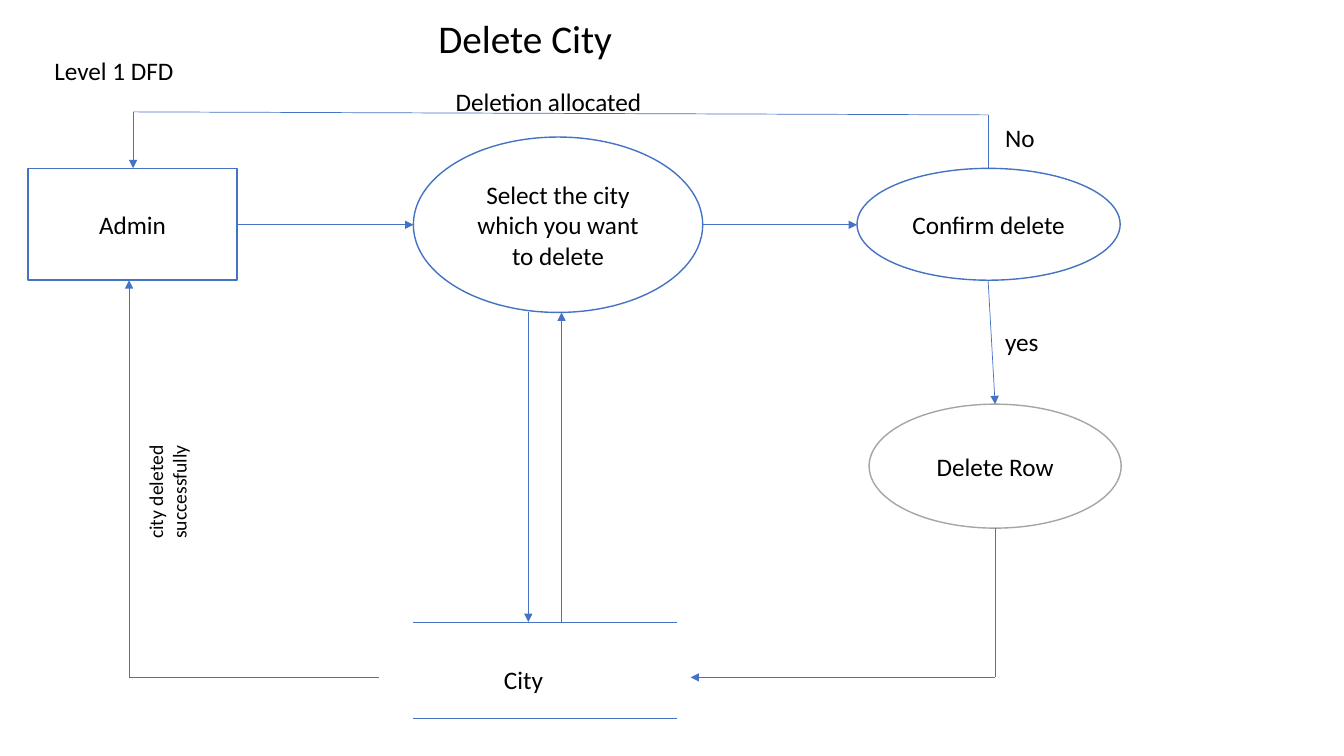
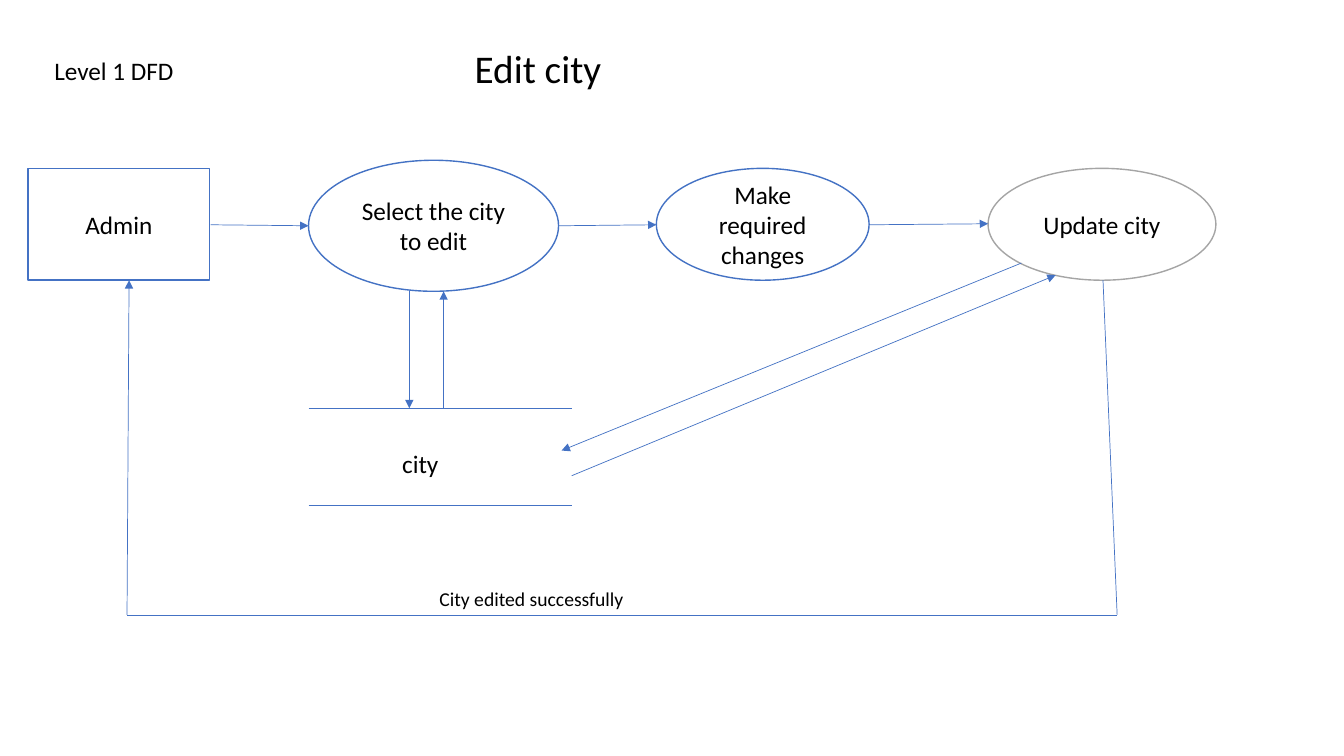
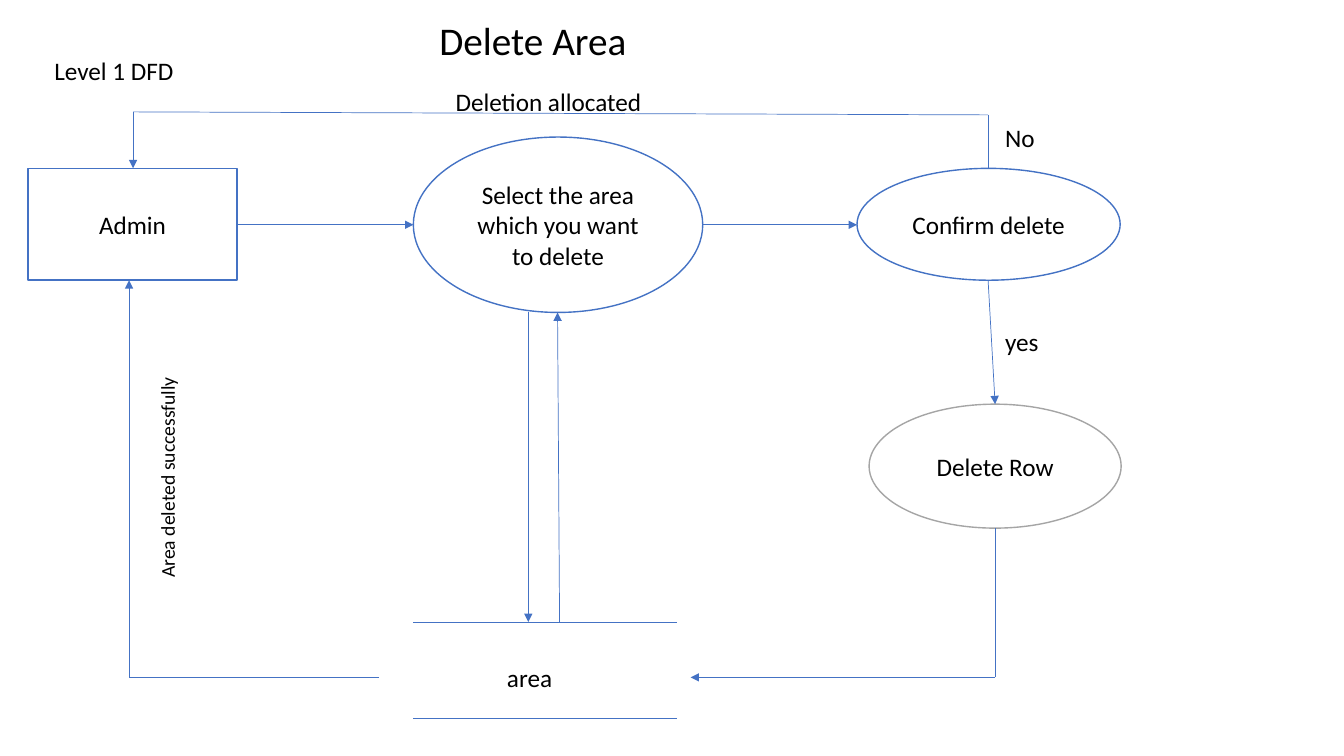
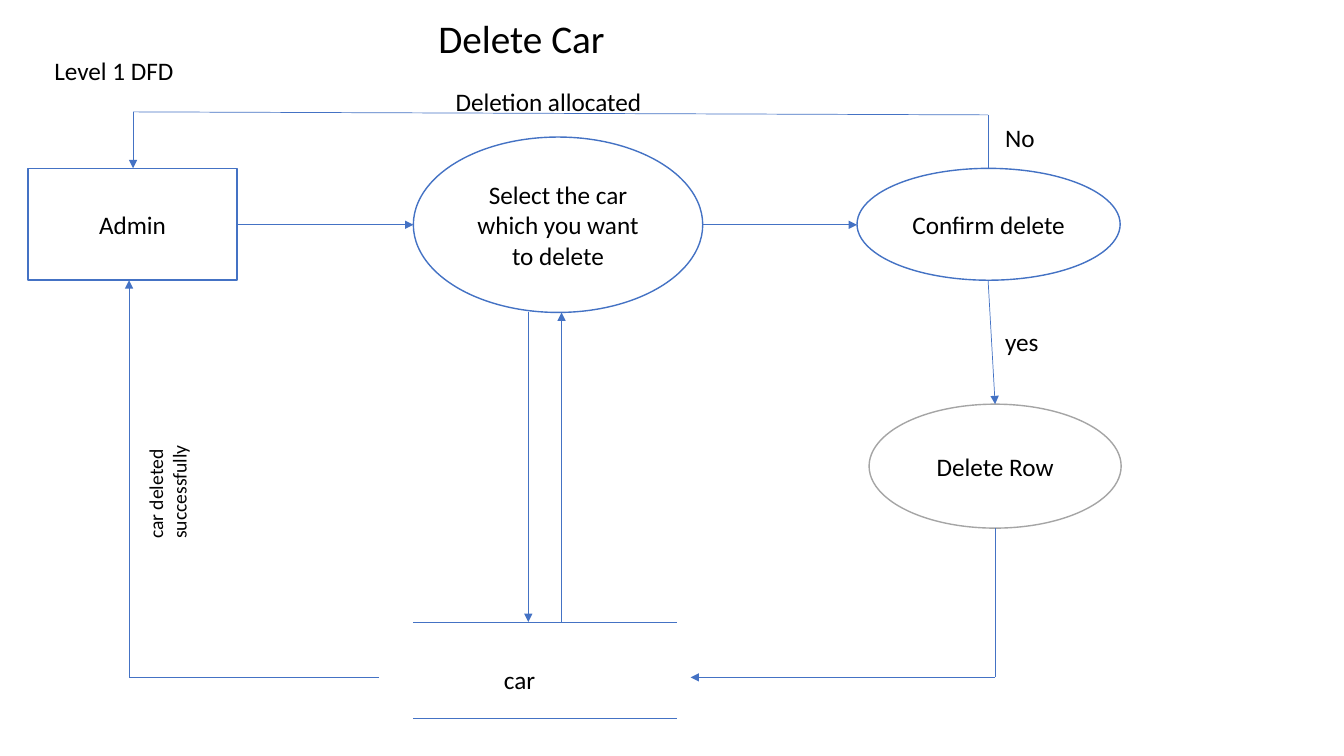
"""Build four level 1 data flow diagrams: deleting and editing cities, areas and cars."""
from dataclasses import dataclass

from lxml import etree
from pptx import Presentation
from pptx.dml.color import RGBColor
from pptx.enum.shapes import MSO_CONNECTOR, MSO_SHAPE
from pptx.enum.text import MSO_ANCHOR, MSO_AUTO_SIZE, PP_ALIGN
from pptx.oxml.ns import qn
from pptx.util import Inches, Pt

RECTANGLE = MSO_SHAPE.RECTANGLE
ELLIPSE = MSO_SHAPE.OVAL
STRAIGHT = MSO_CONNECTOR.STRAIGHT
CENTER = PP_ALIGN.CENTER
MIDDLE = MSO_ANCHOR.MIDDLE
GROW = MSO_AUTO_SIZE.SHAPE_TO_FIT_TEXT


@dataclass(frozen=True)
class Theme:
    font: str = "Calibri"
    ink: RGBColor = RGBColor(0x00, 0x00, 0x00)
    paper: RGBColor = RGBColor(0xFF, 0xFF, 0xFF)
    blue: RGBColor = RGBColor(0x44, 0x72, 0xC4)
    gray: RGBColor = RGBColor(0xA5, 0xA5, 0xA5)
    title: int = 28
    body: int = 18
    small: int = 14
    outline: float = 1
    flow: float = 0.5


THEME = Theme()
COLUMNS, ROWS = 13.33, 7.5
CELL = Inches(1)

presentation = Presentation()
presentation.slide_width = round(COLUMNS * CELL)
presentation.slide_height = round(ROWS * CELL)
blank_layout = presentation.slide_layouts[6]


def write(slide, text, box, kind=None, size=THEME.body, line=THEME.blue, rotation=0):
    """Write text in a grid box, inside an outlined shape when a kind is given."""
    place = [round(length * CELL) for length in box]
    if kind is None:
        shape = slide.shapes.add_textbox(*place)
        shape.text_frame.auto_size = GROW
    else:
        shape = slide.shapes.add_shape(kind, *place)
        shape.shadow.inherit = False
        shape.fill.solid()
        shape.fill.fore_color.rgb = THEME.paper
        shape.line.color.rgb = line
        shape.line.width = Pt(THEME.outline)
        shape.text_frame.vertical_anchor = MIDDLE
    shape.rotation = rotation
    shape.text_frame.word_wrap = True
    paragraph = shape.text_frame.paragraphs[0]
    if kind is not None:
        paragraph.alignment = CENTER
    run = paragraph.add_run()
    run.text = text
    run.font.name = THEME.font
    run.font.size = Pt(size)
    run.font.color.rgb = THEME.ink


def connect(slide, *points, arrow=True):
    """Join grid points with straight lines and put an arrowhead on the last one."""
    for start, end in zip(points, points[1:]):
        ends = [round(length * CELL) for length in (*start, *end)]
        connector = slide.shapes.add_connector(STRAIGHT, *ends)
        connector.line.color.rgb = THEME.blue
        connector.line.width = Pt(THEME.flow)
        properties = connector.element.spPr
        if arrow and end == points[-1]:
            outline = properties.find(qn("a:ln"))
            etree.SubElement(outline, qn("a:tailEnd"), type="triangle")
        etree.SubElement(properties, qn("a:effectLst"))


NODE_TOP, NODE_HEIGHT = 1.67, 1.11
NODE_MIDDLE, NODE_BOTTOM = 2.23, 2.78
ADMIN_LEFT, ADMIN_ENTRY = 0.28, 1.28
STORE_WIDTH, STORE_HEIGHT = 2.61, 0.96
LABEL_HEIGHT = 0.4

frames = [
    ("Delete City", (4.25, 0.09, 2.8, 0.57), 2.07),
    ("Edit city", (4.61, 0.39, 2.4, 0.57), 1.8),
    ("Delete Area", (4.26, 0.11, 3.14, 0.57), 2.07),
    ("Delete Car", (4.25, 0.09, 2.8, 0.57), 2.07),
]
slides = []
for title, title_box, admin_width in frames:
    slide = presentation.slides.add_slide(blank_layout)
    write(slide, "Level 1 DFD", (0.44, 0.5, 1.5, LABEL_HEIGHT))
    write(slide, title, title_box, size=THEME.title)
    write(slide, "Admin", (ADMIN_LEFT, NODE_TOP, admin_width, NODE_HEIGHT), RECTANGLE)
    slides.append(slide)
delete_city, edit_city, delete_area, delete_car = slides

SELECT_LEFT, SELECT_RIGHT, SELECT_BOTTOM = 4.1, 6.97, 3.1
CONFIRM_LEFT, CONFIRM_CENTER = 8.5, 9.8
ROW_TOP, ROW_BOTTOM, ROW_CENTER = 4.01, 5.24, 9.87
STORE_TOP, STORE_MIDDLE = 6.17, 6.72
RETURN_TOP, RETURN_CENTER = 1.11, 1.32

two_line_box = (0.69, 4.19, 1.94, 0.57)
one_line_box = (0.5, 4.5, 2.32, 0.34)
deletions = [
    (delete_city, "city", "City", (4.9, 6.54), "city deleted successfully", two_line_box, 5.57, 5.57),
    (delete_area, "area", "area", (4.93, 6.52), "Area deleted successfully", one_line_box, 5.55, 5.53),
    (delete_car, "car", "car", (4.9, 6.54), "car deleted successfully", two_line_box, 5.57, 5.57),
]
for slide, subject, store, store_corner, message, message_box, reply_start, reply_end in deletions:
    write(slide, f"Select the {subject} which you want to delete",
          (SELECT_LEFT, 1.36, SELECT_RIGHT - SELECT_LEFT, 1.74), ELLIPSE)
    write(slide, "Confirm delete", (CONFIRM_LEFT, NODE_TOP, 2.61, NODE_HEIGHT), ELLIPSE)
    write(slide, "Delete Row", (8.62, ROW_TOP, 2.5, ROW_BOTTOM - ROW_TOP), ELLIPSE, line=THEME.gray)
    write(slide, store, (*store_corner, 1.19, LABEL_HEIGHT))
    write(slide, message, message_box, size=THEME.small, rotation=270)
    write(slide, "yes", (ROW_CENTER, 3.19, 0.61, LABEL_HEIGHT))
    write(slide, "No", (ROW_CENTER, 1.16, 0.63, LABEL_HEIGHT))
    write(slide, "Deletion allocated", (4.42, 0.81, 2.21, LABEL_HEIGHT))

    for edge in (STORE_TOP, STORE_TOP + STORE_HEIGHT):
        connect(slide, (SELECT_LEFT, edge), (SELECT_LEFT + STORE_WIDTH, edge), arrow=False)
    connect(slide, (2.35, NODE_MIDDLE), (SELECT_LEFT, NODE_MIDDLE))
    connect(slide, (SELECT_RIGHT, NODE_MIDDLE), (CONFIRM_LEFT, NODE_MIDDLE))
    connect(slide, (CONFIRM_CENTER, NODE_BOTTOM), (ROW_CENTER, ROW_TOP))
    connect(slide, (ROW_CENTER, ROW_BOTTOM), (ROW_CENTER, STORE_MIDDLE), (6.85, STORE_MIDDLE))
    connect(slide, (3.76, STORE_MIDDLE), (ADMIN_ENTRY, STORE_MIDDLE), (ADMIN_ENTRY, NODE_BOTTOM))
    connect(slide, (5.24, SELECT_BOTTOM), (5.24, STORE_TOP))
    connect(slide, (reply_start, STORE_TOP), (reply_end, SELECT_BOTTOM))
    connect(slide, (CONFIRM_CENTER, NODE_TOP), (CONFIRM_CENTER, 1.14),
            (RETURN_CENTER, RETURN_TOP), (RETURN_CENTER, NODE_TOP))

PICK_LEFT, PICK_RIGHT, PICK_BOTTOM = 3.06, 5.54, 2.89
CHANGE_LEFT, CHANGE_RIGHT = 6.51, 8.62
UPDATE_LEFT = 9.8
EDIT_STORE_TOP, EDIT_RETURN = 4.05, 6.1

write(edit_city, "Select the city to edit", (PICK_LEFT, 1.59, PICK_RIGHT - PICK_LEFT, 1.3), ELLIPSE)
write(edit_city, "Make required changes",
      (CHANGE_LEFT, NODE_TOP, CHANGE_RIGHT - CHANGE_LEFT, NODE_HEIGHT), ELLIPSE)
write(edit_city, "Update city", (UPDATE_LEFT, NODE_TOP, 2.26, NODE_HEIGHT), ELLIPSE, line=THEME.gray)
write(edit_city, "city", (3.89, 4.4, 1.19, LABEL_HEIGHT))
write(edit_city, "City edited successfully", (4.26, 5.77, 2.63, 0.34), size=THEME.small)

for edge in (EDIT_STORE_TOP, EDIT_STORE_TOP + STORE_HEIGHT):
    connect(edit_city, (PICK_LEFT, edge), (PICK_LEFT + STORE_WIDTH, edge), arrow=False)
connect(edit_city, (2.09, NODE_MIDDLE), (PICK_LEFT, 2.24))
connect(edit_city, (PICK_RIGHT, 2.24), (CHANGE_LEFT, NODE_MIDDLE))
connect(edit_city, (CHANGE_RIGHT, NODE_MIDDLE), (UPDATE_LEFT, 2.22))
connect(edit_city, (4.06, PICK_BOTTOM), (4.06, EDIT_STORE_TOP))
connect(edit_city, (4.4, EDIT_STORE_TOP), (4.4, PICK_BOTTOM))
connect(edit_city, (PICK_LEFT + STORE_WIDTH, 4.72), (10.47, 2.73))
connect(edit_city, (10.13, 2.61), (5.57, 4.47))
connect(edit_city, (10.94, NODE_BOTTOM), (11.08, EDIT_RETURN),
        (1.26, EDIT_RETURN), (ADMIN_ENTRY, NODE_BOTTOM))

presentation.save("out.pptx")
